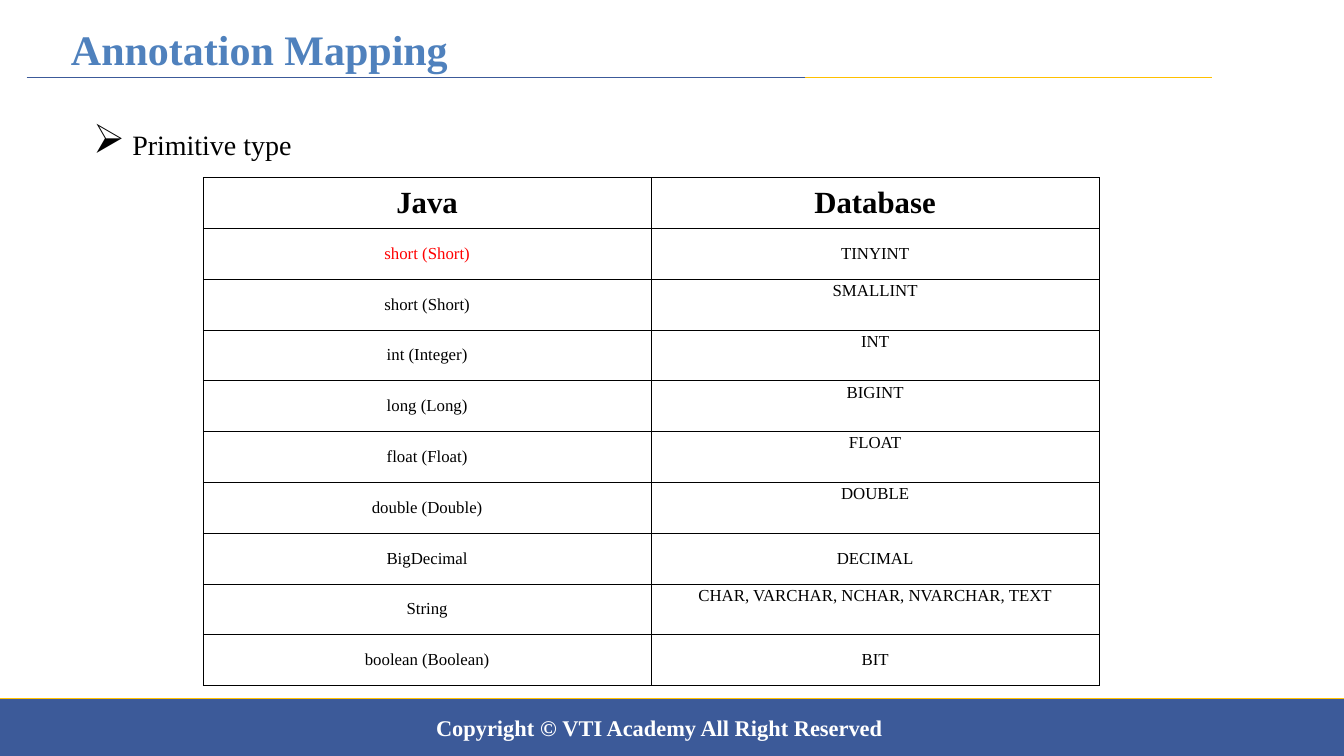
from dataclasses import dataclass
from typing import NamedTuple

from lxml.etree import SubElement
from pptx import Presentation
from pptx.dml.color import RGBColor
from pptx.enum.shapes import MSO_CONNECTOR, MSO_SHAPE
from pptx.enum.text import MSO_ANCHOR as Anchor, PP_ALIGN as Align
from pptx.oxml.ns import qn
from pptx.util import Inches, Pt


@dataclass(frozen=True)
class Theme:
    font: str = "Times New Roman"
    navy: str = "3C5A99"
    gold: str = "FFC000"
    title: str = "4F81BD"
    ink: str = "000000"
    paper: str = "FFFFFF"
    accent: str = "FF0000"
    title_size: int = 60
    header_size: int = 44
    bullet_size: int = 40
    footer_size: int = 32
    cell_size: int = 24


class Box(NamedTuple):
    """Left, top, width and height in percent of the slide."""
    x: float
    y: float
    w: float
    h: float


class Rule(NamedTuple):
    """Horizontal line: start, end and height in percent of the slide."""
    x1: float
    x2: float
    y: float
    color: str


class TypeRow(NamedTuple):
    java: str
    database: str
    color: str = Theme.ink
    anchor: Anchor = Anchor.TOP  # of the database cell


T = Theme()
WIDTH, HEIGHT = Inches(26.67), Inches(15)

TITLE_BOX = Box(4.91, 4.13, 46.64, 4.53)
BULLET_BOX = Box(6.56, 16.53, 20.06, 8.47)
TABLE_BOX = Box(15.11, 23.47, 66.67, 67.2)
FOOTER_BAR = Box(0, 92.4, 100, 7.6)
FOOTER_BOX = Box(27.82, 93.73, 42.89, 4.93)

TITLE_RULE = Rule(1.99, 90.21, 10.27, T.navy)
TOP_RULES = [Rule(59.92, 90.21, 10.27, T.gold), Rule(0, 100, 92.4, T.gold)]

HEADERS = ("Java", "Database")
ROWS = [
    TypeRow("short (Short)", "TINYINT", T.accent, Anchor.MIDDLE),
    TypeRow("short (Short)", "SMALLINT"),
    TypeRow("int (Integer)", "INT"),
    TypeRow("long (Long)", "BIGINT"),
    TypeRow("float (Float)", "FLOAT"),
    TypeRow("double (Double)", "DOUBLE"),
    TypeRow("BigDecimal", "DECIMAL", anchor=Anchor.MIDDLE),
    TypeRow("String", "CHAR, VARCHAR, NCHAR, NVARCHAR, TEXT"),
    TypeRow("boolean (Boolean)", "BIT", anchor=Anchor.MIDDLE),
]


def across(share: float) -> int:
    return round(WIDTH * share / 100)


def down(share: float) -> int:
    return round(HEIGHT * share / 100)


def place(box: Box) -> tuple[int, int, int, int]:
    return across(box.x), down(box.y), across(box.w), down(box.h)


def add_run(p, text: str, size: int, color: str, **extra) -> None:
    r = p.add_run()
    r.text = text
    for name, value in {"name": T.font, "size": Pt(size), **extra}.items():
        setattr(r.font, name, value)
    r.font.color.rgb = RGBColor.from_string(color)


def add_text_frame(s, box: Box, **format_values):
    tf = s.shapes.add_textbox(*place(box)).text_frame
    for name, value in {"word_wrap": True, **format_values}.items():
        setattr(tf, name, value)
    return tf


def add_rule(s, rule: Rule) -> None:
    y = down(rule.y)
    line = s.shapes.add_connector(
        MSO_CONNECTOR.STRAIGHT, across(rule.x1), y, across(rule.x2), y)
    line.line.color.rgb = RGBColor.from_string(rule.color)
    line.line.width = Pt(1.5)
    SubElement(line._element.spPr, qn("a:effectLst"))


def add_bullet(p, char: str, percent: int, indent: float) -> None:
    pPr = p._p.get_or_add_pPr()
    pPr.set("marL", str(Inches(indent)))
    pPr.set("indent", str(-Inches(indent)))
    SubElement(pPr, qn("a:buSzPct"), val=str(percent * 1000))
    SubElement(pPr, qn("a:buChar"), char=char)


def add_borders(cell) -> None:
    tcPr = cell._tc.get_or_add_tcPr()
    for index, side in enumerate(("lnL", "lnR", "lnT", "lnB")):
        ln = SubElement(tcPr, qn(f"a:{side}"), w=str(Pt(1)))
        fill = SubElement(ln, qn("a:solidFill"))
        SubElement(fill, qn("a:srgbClr"), val=T.ink)
        tcPr.insert(index, ln)


def fill_cell(cell, text: str, size: int, color: str, anchor: Anchor,
              bold: bool = False) -> None:
    cell.fill.background()
    add_borders(cell)
    cell.vertical_anchor = anchor
    p = cell.text_frame.paragraphs[0]
    p.alignment = Align.CENTER
    add_run(p, text, size, color, bold=bold)


def add_type_table(s) -> None:
    table = s.shapes.add_table(
        len(ROWS) + 1, len(HEADERS), *place(TABLE_BOX)).table
    table.first_row = table.horz_banding = False
    for col, header in enumerate(HEADERS):
        fill_cell(table.cell(0, col), header, T.header_size, T.ink,
                  Anchor.MIDDLE, bold=True)
    for i, row in enumerate(ROWS, start=1):
        fill_cell(table.cell(i, 0), row.java, T.cell_size, row.color,
                  Anchor.MIDDLE)
        fill_cell(table.cell(i, 1), row.database, T.cell_size, T.ink,
                  row.anchor)


def add_footer(s) -> None:
    bar = s.shapes.add_shape(MSO_SHAPE.RECTANGLE, *place(FOOTER_BAR))
    bar.shadow.inherit = False
    bar.fill.solid()
    bar.fill.fore_color.rgb = RGBColor.from_string(T.navy)
    bar.line.fill.background()

    tf = add_text_frame(s, FOOTER_BOX, margin_left=Inches(0.2),
                        margin_right=Inches(0.2), margin_top=Inches(0.1),
                        margin_bottom=Inches(0.1))
    p = tf.paragraphs[0]
    p.alignment = Align.CENTER
    for text, italic in (("Copyright ", False), ("© ", True),
                         ("VTI Academy All Right Reserved ", False)):
        add_run(p, text, T.footer_size, T.paper, bold=True, italic=italic)


def main() -> None:
    prs = Presentation()
    prs.slide_width, prs.slide_height = WIDTH, HEIGHT
    s = prs.slides.add_slide(prs.slide_layouts[6])

    # Frame: rules and footer
    add_rule(s, TITLE_RULE)
    add_footer(s)
    for rule in TOP_RULES:
        add_rule(s, rule)

    # Title
    tf = add_text_frame(s, TITLE_BOX, vertical_anchor=Anchor.MIDDLE)
    add_run(tf.paragraphs[0], "Annotation Mapping", T.title_size, T.title,
            bold=True)

    # Topic and type table
    p = add_text_frame(s, BULLET_BOX).paragraphs[0]
    add_bullet(p, "➢", percent=145, indent=0.47)
    add_run(p, " Primitive type", T.bullet_size, T.ink)
    add_type_table(s)

    prs.save("out.pptx")


if __name__ == "__main__":
    main()
